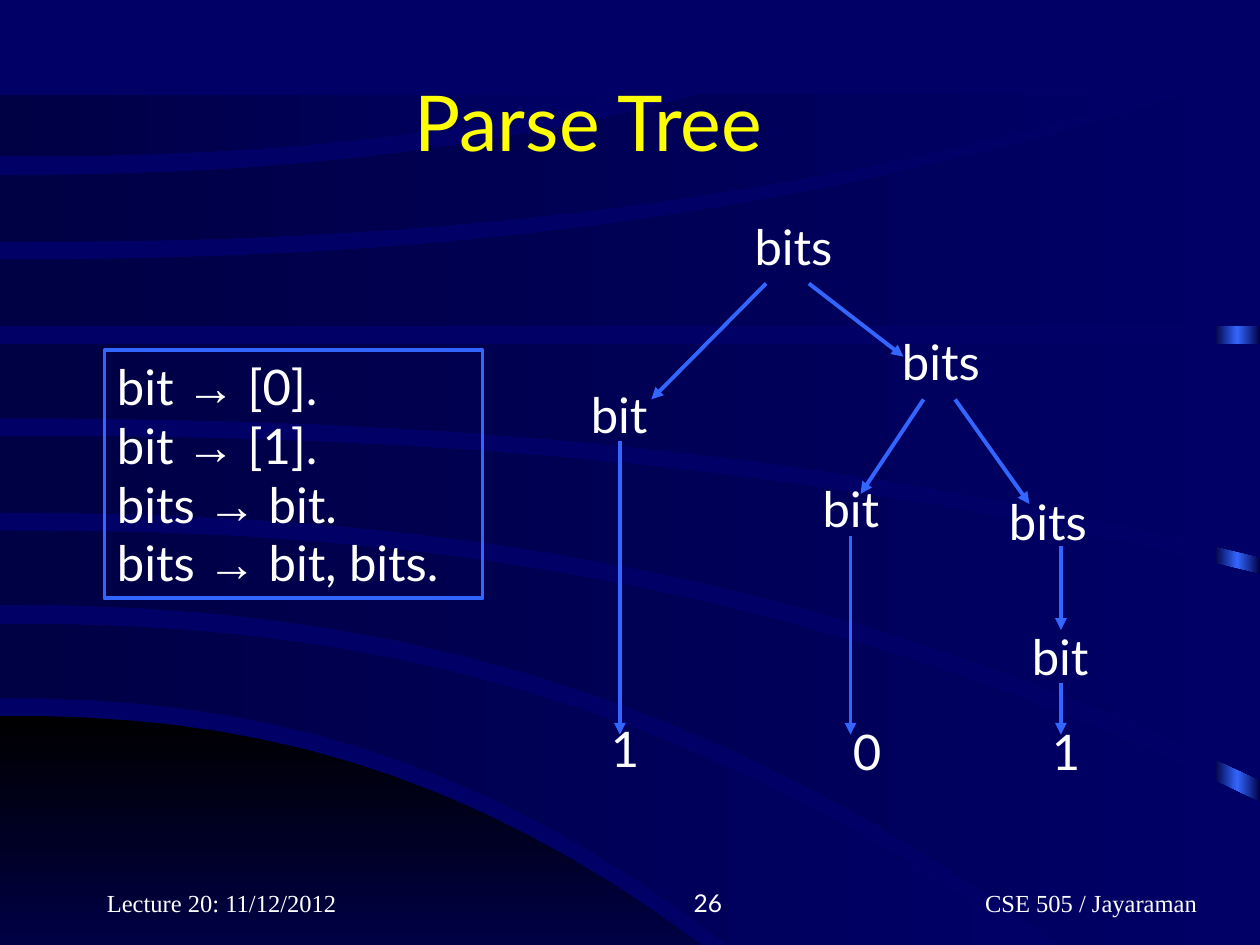
from copy import deepcopy

from pptx import Presentation
from pptx.dml.color import RGBColor
from pptx.enum.shapes import MSO_CONNECTOR, MSO_SHAPE
from pptx.enum.text import MSO_ANCHOR, PP_ALIGN
from pptx.oxml.ns import qn
from pptx.oxml.xmlchemy import OxmlElement
from pptx.util import Inches, Pt

NAVY = RGBColor(0x00, 0x00, 0x66)
DARK_NAVY = RGBColor(0x00, 0x00, 0x44)
BLACK = RGBColor(0x00, 0x00, 0x00)
BLUE = RGBColor(0x33, 0x66, 0xFF)
YELLOW = RGBColor(0xFF, 0xFF, 0x00)
WHITE = RGBColor(0xFF, 0xFF, 0xFF)

NODE_FONT = {"name": "Lato", "size": Pt(28)}
FOOTER_FONT = {"name": "Times New Roman", "size": Pt(14)}

CURVE_STEPS = 16
CURVE_POWER = 2.3
FLOOR = ((5.68, 5.56, 7.5), (7.5, 5.56, 7.5))
BANDS = [
    ((4.95, 8.2, 7.5), (5.54, 5.78, 7.5)),
    ((4.21, 10, 6.37), (4.8, 8.42, 7.5), (10, 7.5)),
    ((3.46, 10, 4.56), (4.07, 10, 6.19)),
    ((2.73, 10, 2.73), (3.32, 10, 4.42)),
    ((2.06, 9.44, 0.75), (2.59, 10, 2.59), (10, 0.75)),
    ((1.39, 5.57, 0.75), (1.92, 9.18, 0.75)),
    ((0.75, 5.02, 0.75), (1.24, 5.02, 0.75)),
]

NODE_WIDTHS = {"bits": 0.86, "bit": 0.68, "1": 0.42, "0": 0.42}
TREE_NODES = [
    ("bits", 5.89, 1.67), ("bit", 4.59, 3), ("bits", 7.06, 2.58),
    ("bit", 6.43, 3.75), ("bits", 7.91, 3.85), ("bit", 8.09, 4.92),
    ("1", 4.75, 5.65), ("0", 6.67, 5.68), ("1", 8.25, 5.68),
]
SLANTED_ARROWS = [
    (6.08, 2.25, 5.17, 3.17), (6.42, 2.25, 7.17, 2.83),
    (7.33, 3.17, 6.83, 3.92), (7.58, 3.17, 8.17, 4),
]
VERTICAL_ARROWS = [(4.92, 3.5, 5.83), (6.75, 4.25, 5.83), (8.42, 4.33, 5), (8.42, 5.42, 5.83)]
GRAMMAR_RULES = [("bit", "[0]."), ("bit", "[1]."), ("bits", "bit."), ("bits", "bit, bits.")]


def inches(*lengths):
    """Convert several numbers to lengths."""
    return [Inches(length) for length in lengths]


def format_font(font, formats, color=WHITE):
    """Set the font attributes and colour."""
    for attribute, value in formats.items():
        setattr(font, attribute, value)
    font.color.rgb = color


def fill_gradient(shape, colors, angle=0):
    """Give a shape an outline-free linear gradient with evenly spaced colours."""
    shape.shadow.inherit = False
    shape.line.fill.background()
    shape.fill.gradient()
    shape.fill.gradient_angle = angle
    stop_list = shape._element.spPr.find(".//" + qn("a:gsLst"))
    for _ in colors[2:]:
        stop_list.append(deepcopy(stop_list[0]))
    for index, (stop, color) in enumerate(zip(shape.fill.gradient_stops, colors)):
        stop.color.rgb = color
        stop.position = index / (len(colors) - 1)


def curve_points(start_y, end_x, end_y):
    """Return points on a curve that leaves the left edge level and bends to its end."""
    fractions = [step / CURVE_STEPS for step in range(CURVE_STEPS + 1)]
    return [(end_x * part, start_y + (end_y - start_y) * part**CURVE_POWER) for part in fractions]


def add_band(slide, edges, colors, angle=0):
    """Draw the area between an upper and a lower curve, through any corners."""
    upper, lower, *corners = edges
    outline = curve_points(*upper) + corners + curve_points(*lower)[::-1]
    points = [inches(*point) for point in outline]
    builder = slide.shapes.build_freeform(*points[0])
    builder.add_line_segments(points[1:])
    fill_gradient(builder.convert_to_shape(), colors, angle)


def add_backdrop(slide):
    """Draw the navy background with its curved bands."""
    slide.background.fill.solid()
    slide.background.fill.fore_color.rgb = NAVY
    strip = slide.shapes.add_shape(MSO_SHAPE.RECTANGLE, *inches(9.64, 0.77, 0.36, 6.73))
    fill_gradient(strip, [DARK_NAVY, BLUE, DARK_NAVY])
    add_band(slide, FLOOR, [BLACK, DARK_NAVY], 270)
    for edges in BANDS:
        add_band(slide, edges, [DARK_NAVY, NAVY])


def add_title(slide, text, box):
    """Place the title placeholder above the backdrop."""
    title = slide.shapes.title
    slide.shapes._spTree.append(title._element)
    title.left, title.top, title.width, title.height = inches(*box)
    title.text_frame.vertical_anchor = MSO_ANCHOR.MIDDLE
    paragraph = title.text_frame.paragraphs[0]
    paragraph.text = text
    paragraph.alignment = PP_ALIGN.CENTER
    format_font(paragraph.runs[0].font, {"name": "Lato", "size": Pt(44)}, YELLOW)


def add_label(slide, text, box, formats, alignment=PP_ALIGN.LEFT, wrap=False):
    """Add one line of text and return its frame."""
    frame = slide.shapes.add_textbox(*inches(*box)).text_frame
    frame.word_wrap = wrap
    paragraph = frame.paragraphs[0]
    paragraph.text = text
    paragraph.alignment = alignment
    format_font(paragraph.runs[0].font, formats)
    return frame


def add_arrow(slide, ends):
    """Draw a blue arrow between two points."""
    arrow = slide.shapes.add_connector(MSO_CONNECTOR.STRAIGHT, *inches(*ends))
    arrow.line.color.rgb = BLUE
    arrow.line.width = Pt(2.25)
    head = OxmlElement("a:tailEnd")
    head.set("type", "triangle")
    arrow.line._get_or_add_ln().append(head)
    arrow._element.spPr.append(OxmlElement("a:effectLst"))


def add_parse_tree(slide):
    """Draw the arrows and nodes of the tree."""
    for ends in SLANTED_ARROWS + [(x, top, x, bottom) for x, top, bottom in VERTICAL_ARROWS]:
        add_arrow(slide, ends)
    for text, left, top in TREE_NODES:
        add_label(slide, text, (left, top, NODE_WIDTHS[text], 0.57), NODE_FONT)


def add_grammar(slide, box):
    """Draw the outlined box of grammar rules."""
    shape = slide.shapes.add_shape(MSO_SHAPE.RECTANGLE, *inches(*box))
    shape.shadow.inherit = False
    shape.fill.background()
    shape.line.color.rgb = BLUE
    shape.line.width = Pt(2.25)
    frame = shape.text_frame
    frame.word_wrap = True
    frame.vertical_anchor = MSO_ANCHOR.TOP
    for index, (symbol, expansion) in enumerate(GRAMMAR_RULES):
        paragraph = frame.add_paragraph() if index else frame.paragraphs[0]
        paragraph.alignment = PP_ALIGN.LEFT
        for text, name in ((f"{symbol} ", "Lato"), ("→", "Arial"), (f" {expansion}", "Lato")):
            run = paragraph.add_run()
            run.text = text
            format_font(run.font, {**NODE_FONT, "name": name})


def add_footer(slide, top, height):
    """Add the date, slide number and course along the bottom."""
    number_font = {**FOOTER_FONT, "name": "Lato"}
    parts = [
        ("Lecture 20: 11/12/2012", 0.75, 2.08, FOOTER_FONT, PP_ALIGN.LEFT),
        ("26", 3.75, 2.08, number_font, PP_ALIGN.RIGHT),
        ("CSE 505 / Jayaraman", 6.58, 3.02, FOOTER_FONT, PP_ALIGN.RIGHT),
    ]
    for text, left, width, formats, alignment in parts:
        frame = add_label(slide, text, (left, top, width, height), formats, alignment, True)
        frame.vertical_anchor = MSO_ANCHOR.BOTTOM


def main():
    """Build and save the presentation."""
    presentation = Presentation()
    presentation.slide_width, presentation.slide_height = inches(10, 7.5)
    slide = presentation.slides.add_slide(presentation.slide_layouts[5])
    add_backdrop(slide)
    add_title(slide, "Parse Tree", (0.42, 0.33, 8.5, 1.25))
    add_parse_tree(slide)
    add_grammar(slide, (0.83, 2.78, 3, 1.97))
    add_footer(slide, 6.83, 0.5)
    presentation.save("out.pptx")


if __name__ == "__main__":
    main()
